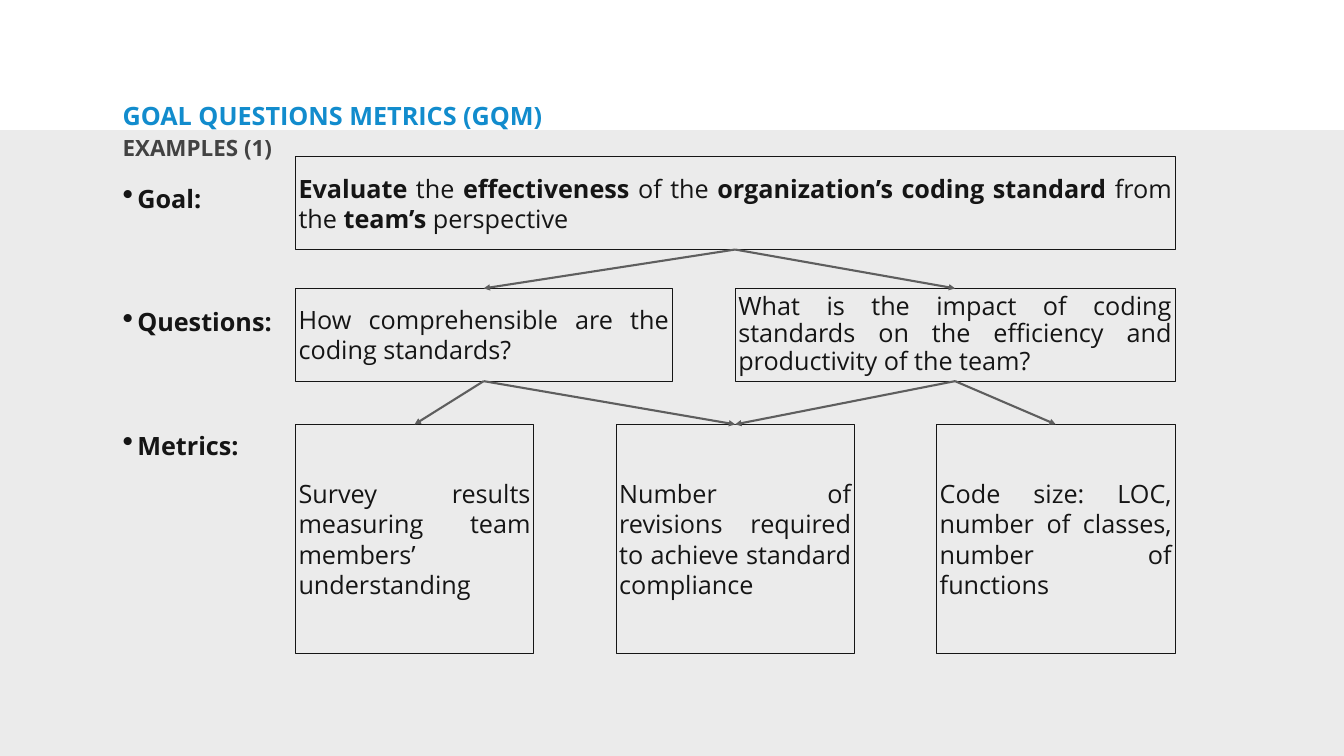
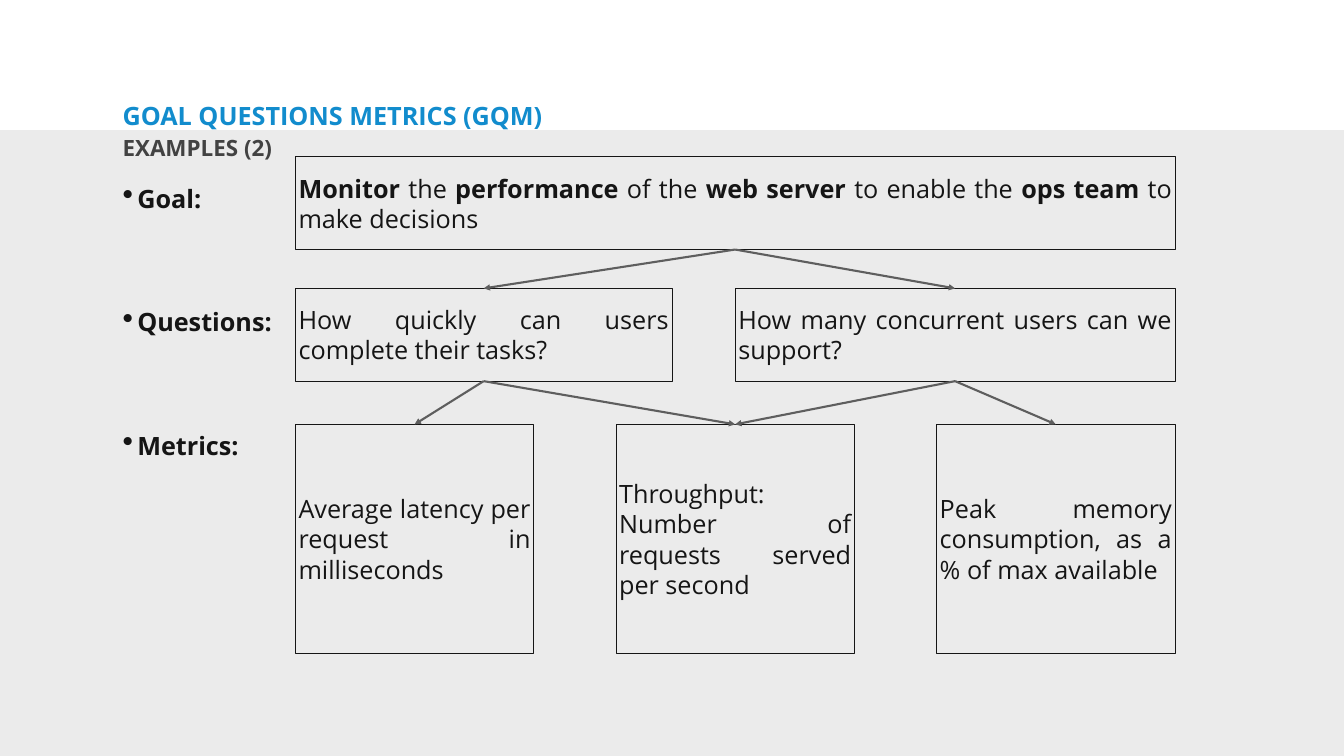
from lxml import etree
from pptx import Presentation
from pptx.dml.color import RGBColor
from pptx.enum import shapes, text
from pptx.oxml import ns
from pptx.util import Pt

# Content: ** switches bold on and off
TITLE = "GOAL QUESTIONS METRICS (GQM)"
LEVELS = ["Goal:", "Questions:", "Metrics:"]
EXAMPLES = [
    {
        "subtitle": "EXAMPLES (1)",
        "goal": "**Evaluate** the **effectiveness** of the **organization’s coding standard**"
                " from the **team’s** perspective",
        "questions": [
            ("How comprehensible are the coding standards?", 1.0),
            ("What is the impact of coding standards on the efficiency and"
             " productivity of the team?", 0.9),
        ],
        "metrics": [
            "Survey results measuring team members’ understanding",
            "Number of revisions required to achieve standard compliance",
            "Code size: LOC, number of classes, number of functions",
        ],
    },
    {
        "subtitle": "EXAMPLES (2)",
        "goal": "**Monitor **the **performance** of the **web server** to enable the"
                " **ops team** to make decisions",
        "questions": [
            ("How quickly can users complete their tasks?", 1.0),
            ("How many concurrent users can we support?", 1.0),
        ],
        "metrics": [
            "Average latency per request in milliseconds",
            "Throughput: Number of requests served per second",
            "Peak memory consumption, as a % of max available",
        ],
    },
]
# Each question feeds these metrics
QUESTION_METRICS = [(0, 1), (1, 2)]

THEME = {
    "font": "Open Sans",
    "band": RGBColor.from_string("EBEBEB"),
    "title": RGBColor.from_string("128CCD"),
    "subtitle": RGBColor.from_string("424242"),
    "ink": RGBColor.from_string("151515"),
    "arrow": RGBColor.from_string("5E5E5E"),
    "size": 36,
    "subtitle_size": 32,
}

# Layout, in points
SLIDE_W, SLIDE_H = 1920, 1080
BAND_TOP = 186
MARGIN = 170.6
TREE_LEFT, TREE_W = 422, 1256.5
GOAL_TOP, QUESTION_TOP, METRIC_TOP = 224, 412, 606.25
ROW_H, METRIC_H = 132.5, 327
QUESTION_W, METRIC_W = 538, 340.5
LABEL_TOP, LABEL_GAP, BULLET_INDENT = 257, 133.5, 21
INSET = 4.5
JUSTIFY = text.PP_ALIGN.JUSTIFY
MIDDLE = text.MSO_ANCHOR.MIDDLE


def assign(target, values):
    for name, value in values.items():
        setattr(target, name, value)


def points(*lengths):
    return [Pt(length) for length in lengths]


def write(paragraph, words, color, size=THEME["size"], bold=False, **layout):
    """Fill a paragraph, toggling bold at each ** mark."""
    assign(paragraph, layout)
    for index, part in enumerate(words.split("**")):
        if part:
            run = paragraph.add_run()
            run.text = part
            assign(run.font, {"name": THEME["font"], "size": Pt(size),
                              "bold": bold or index % 2 == 1})
            run.font.color.rgb = color


def prepare(frame, anchor=text.MSO_ANCHOR.TOP):
    assign(frame, {"word_wrap": True, "vertical_anchor": anchor})
    assign(frame, {f"margin_{side}": Pt(INSET) for side in ("left", "top", "right", "bottom")})
    return frame


def add_text(slide, *place):
    return prepare(slide.shapes.add_textbox(*points(*place)).text_frame)


def add_rectangle(slide, *place):
    rectangle = slide.shapes.add_shape(shapes.MSO_SHAPE.RECTANGLE, *points(*place))
    rectangle.shadow.inherit = False
    return rectangle


def add_box(slide, words, *place, spacing=1.0):
    box = add_rectangle(slide, *place)
    box.fill.background()
    box.line.color.rgb = THEME["ink"]
    box.line.width = Pt(1)
    frame = prepare(box.text_frame, MIDDLE)
    write(frame.paragraphs[0], words, THEME["ink"], alignment=JUSTIFY, line_spacing=spacing)
    return box


def add_arrow(slide, parent, child):
    arrow = slide.shapes.add_connector(shapes.MSO_CONNECTOR.STRAIGHT, 0, 0, 0, 0)
    arrow.begin_connect(parent, 2)
    arrow.end_connect(child, 0)
    arrow.line.color.rgb = THEME["arrow"]
    arrow.line.width = Pt(3)
    etree.SubElement(arrow.line._get_or_add_ln(), ns.qn("a:tailEnd"), type="triangle")
    etree.SubElement(arrow._element.spPr, ns.qn("a:effectLst"))


def add_bullet(paragraph):
    properties = paragraph._p.get_or_add_pPr()
    indent = Pt(BULLET_INDENT)
    properties.set("marL", str(indent))
    properties.set("indent", str(-indent))
    etree.SubElement(properties, ns.qn("a:buSzPct"), val="123000")
    etree.SubElement(properties, ns.qn("a:buChar"), char="•")


def add_frame(slide, subtitle):
    """Band, headings and level labels shared by every example."""
    band = add_rectangle(slide, 0, BAND_TOP, SLIDE_W, SLIDE_H - BAND_TOP)
    band.fill.solid()
    band.fill.fore_color.rgb = THEME["band"]
    band.line.fill.background()

    heading = add_text(slide, MARGIN, 147.6, 1158.5, 40.3)
    write(heading.paragraphs[0], TITLE, THEME["title"], bold=True, line_spacing=0.8)
    subheading = add_text(slide, MARGIN, 190.8, 951, 66.2)
    write(subheading.paragraphs[0], subtitle, THEME["subtitle"], THEME["subtitle_size"],
          bold=True, line_spacing=0.9)

    labels = add_text(slide, MARGIN, LABEL_TOP, TREE_LEFT - MARGIN,
                      METRIC_TOP + METRIC_H - LABEL_TOP)
    for index, level in enumerate(LEVELS):
        label = labels.add_paragraph() if index else labels.paragraphs[0]
        add_bullet(label)
        write(label, level, THEME["ink"], bold=True, alignment=JUSTIFY,
              space_before=Pt(LABEL_GAP if index else 0))


def add_tree(slide, example):
    goal = add_box(slide, example["goal"], TREE_LEFT, GOAL_TOP, TREE_W, ROW_H)

    # The second question fills the right half of the tree
    middle = TREE_LEFT + TREE_W / 2
    spans = [(TREE_LEFT, QUESTION_W), (middle, TREE_W / 2)]
    questions = [
        add_box(slide, words, left, QUESTION_TOP, width, ROW_H, spacing=spacing)
        for (words, spacing), (left, width) in zip(example["questions"], spans)
    ]

    step = (TREE_W - METRIC_W) / (len(example["metrics"]) - 1)
    metrics = [
        add_box(slide, words, TREE_LEFT + index * step, METRIC_TOP, METRIC_W, METRIC_H)
        for index, words in enumerate(example["metrics"])
    ]

    for question in questions:
        add_arrow(slide, goal, question)
    for question, targets in zip(questions, QUESTION_METRICS):
        for target in targets:
            add_arrow(slide, question, metrics[target])


def main():
    deck = Presentation()
    assign(deck, {"slide_width": Pt(SLIDE_W), "slide_height": Pt(SLIDE_H)})
    for example in EXAMPLES:
        slide = deck.slides.add_slide(deck.slide_layouts[6])
        add_frame(slide, example["subtitle"])
        add_tree(slide, example)
    deck.save("out.pptx")


if __name__ == "__main__":
    main()
